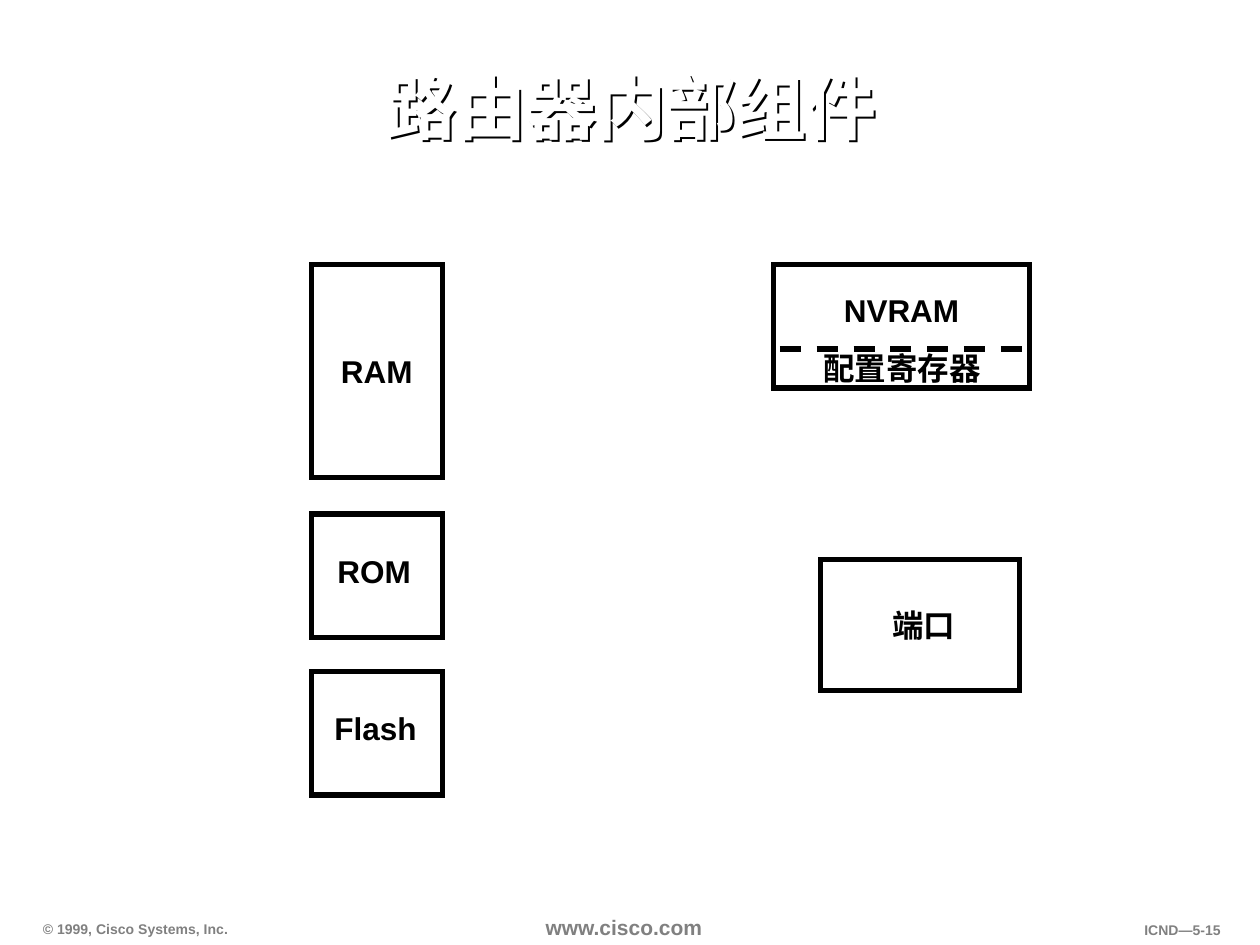
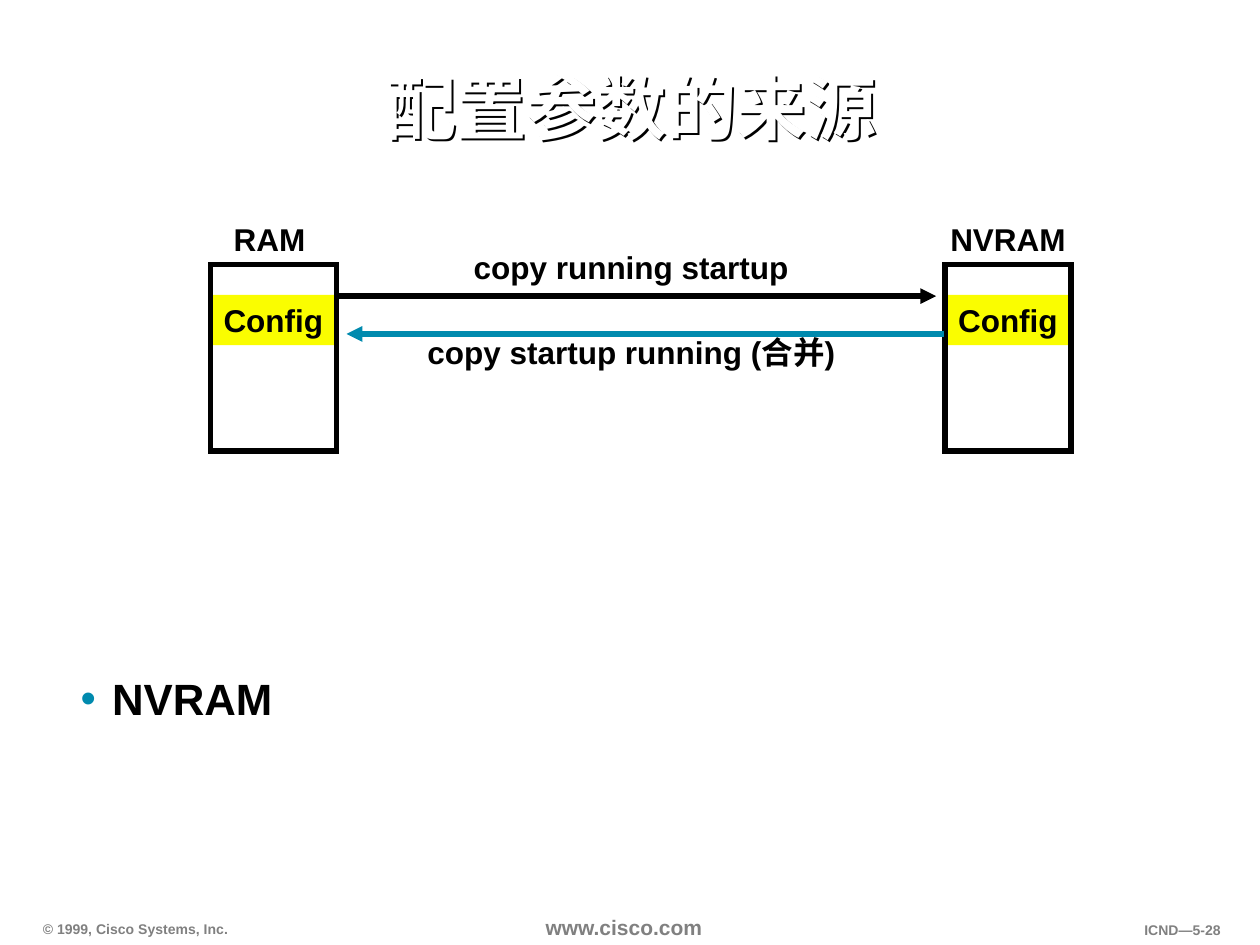
from lxml.etree import SubElement
from pptx import Presentation
from pptx.dml.color import RGBColor
from pptx.enum.dml import MSO_LINE
from pptx.enum.shapes import MSO_CONNECTOR, MSO_SHAPE
from pptx.enum.text import MSO_ANCHOR, PP_ALIGN
from pptx.oxml.ns import qn
from pptx.util import Inches, Pt

W, H = 10, 7.5
FONT = "Arial"
BLACK, WHITE, GREY = "000000", "FFFFFF", "808080"
TEAL, YELLOW = "008AAE", "FAFD00"
ALIGN = {"l": PP_ALIGN.LEFT, "c": PP_ALIGN.CENTER, "r": PP_ALIGN.RIGHT}
ANCHOR = {"t": MSO_ANCHOR.TOP, "m": MSO_ANCHOR.MIDDLE, "b": MSO_ANCHOR.BOTTOM}
ROW = 0.4  # height of a label
TOP = 2.1  # top edge of the upper boxes

# Slide 1: label, its width, left, top, width, height, label shift in x and y
PARTS = [
    ("RAM", 0.77, 2.47, TOP, 1.04, 1.69, 0, 0),
    ("ROM", 0.78, 2.47, 4.08, 1.04, 0.98, -0.02, -0.04),
    ("Flash", 0.85, 2.47, 5.33, 1.04, 0.98, -0.01, -0.04),
    ("NVRAM", 1.11, 6.14, TOP, 2.03, 0.98, 0, -0.13),
    ("端口", 0.7, 6.51, 4.44, 1.58, 1.04, 0.03, 0),
]
REGISTER = ("配置寄存器", 7.16, 2.92, 1.45)
SPLIT = (6.19, 8.21, 2.77)

# Slide 2: label, its centre, its width, left edge of the memory
STORES = [("RAM", 2.14, 0.77, 1.67), ("NVRAM", 8, 1.11, 7.5)]
STORE_W, STORE_H = 1, 1.48
# Command, centre y, width, arrow start, end and y, colour
COPIES = [
    ("copy running startup", 2.12, 2.7, 2.66, 7.43, 2.35, BLACK),
    ("copy startup running (合并)", 2.79, 3.55, 7.49, 2.75, 2.65, TEAL),
]
BULLET = "NVRAM"


def paint(color):
    return RGBColor.from_string(color)


def write(slide, text, at, size=18, color=BLACK, align="c", anchor="m",
          inset=(0.04, 0.04), fill=None, space=None, shade=None):
    """Add bold text in a box and return its paragraph."""
    box = slide.shapes.add_textbox(*map(Inches, at))
    if fill:
        box.fill.solid()
        box.fill.fore_color.rgb = paint(fill)
    if shade:
        cast(box, shade)
    frame = box.text_frame
    frame.word_wrap = True
    frame.vertical_anchor = ANCHOR[anchor]
    frame.margin_left = frame.margin_right = Inches(inset[0])
    frame.margin_top = frame.margin_bottom = Inches(inset[1])
    para = frame.paragraphs[0]
    para.alignment = ALIGN[align]
    para.line_spacing = space
    run = para.add_run()
    run.text = text
    font = run.font
    font.name, font.size, font.bold = FONT, Pt(size), True
    font.color.rgb = paint(color)
    return para


def cast(box, color):
    """Drop a sharp shadow; on an unfilled box it falls from the letters."""
    effects = SubElement(box._element.spPr, qn("a:effectLst"))
    drop = SubElement(effects, qn("a:outerShdw"), blurRad="0",
                      dist=str(Pt(2)), dir="2700000", algn="ctr",
                      rotWithShape="0")
    SubElement(drop, qn("a:srgbClr"), val=color)


def label(slide, text, x, y, width, **style):
    """Write one row of text centred on x, y."""
    return write(slide, text, (x - width / 2, y - ROW / 2, width, ROW), **style)


def frame(slide, *at):
    """Draw an unfilled box with a heavy, square-cornered outline."""
    box = slide.shapes.add_shape(MSO_SHAPE.RECTANGLE, *map(Inches, at))
    box.shadow.inherit = False
    box.fill.background()
    box.line.color.rgb = paint(BLACK)
    box.line.width = Pt(3)
    SubElement(box.line._get_or_add_ln(), qn("a:miter"), lim="800000")


def rule(slide, start, end, y, color=BLACK, dash=False, head=False):
    """Draw a level line, dashed or with an arrowhead at its end."""
    line = slide.shapes.add_connector(
        MSO_CONNECTOR.STRAIGHT, *map(Inches, (start, y, end, y)))
    line.line.color.rgb = paint(color)
    line.line.width = Pt(3)
    if dash:
        line.line.dash_style = MSO_LINE.DASH
    if head:
        SubElement(line.line._get_or_add_ln(), qn("a:tailEnd"), type="triangle")
    SubElement(line._element.spPr, qn("a:effectLst"))


def dot(para):
    """Give the paragraph a hanging bullet."""
    props = para._p.get_or_add_pPr()
    props.set("marL", str(Inches(0.38)))
    props.set("indent", str(Inches(-0.25)))
    tint = SubElement(props, qn("a:buClr"))
    SubElement(tint, qn("a:srgbClr"), val=TEAL)
    SubElement(props, qn("a:buFont"), typeface=FONT)
    SubElement(props, qn("a:buChar"), char="•")


def start(deck, title, page):
    """Add a slide with its title and footers."""
    slide = deck.slides.add_slide(deck.slide_layouts[6])
    small = dict(size=8, color=GREY, inset=(0.09, 0.04))
    write(slide, "© 1999, Cisco Systems, Inc.", (0.25, 7.26, 2, 0.22),
          align="l", anchor="b", **small)
    write(slide, "www.cisco.com", (4.25, 7.22, 1.5, 0.28), size=12,
          color=GREY, align="l", anchor="t", inset=(0.08, 0.04))
    write(slide, f"ICND—5-{page}", (8.58, 7.27, 1.2, 0.22),
          align="r", anchor="t", **small)
    write(slide, title, (0.84, 0.26, 8.34, 1.25), size=40, color=WHITE,
          space=0.9, shade=BLACK)
    return slide


def draw_parts(deck):
    slide = start(deck, "路由器内部组件", 15)
    for text, room, x, y, w, h, dx, dy in PARTS:
        frame(slide, x, y, w, h)
        label(slide, text, x + w / 2 + dx, y + h / 2 + dy, room)
    label(slide, *REGISTER)
    rule(slide, *SPLIT, dash=True)


def draw_copies(deck):
    slide = start(deck, "配置参数的来源", 28)
    for text, mid, room, x in STORES:
        label(slide, "Config", x + STORE_W / 2, 2.54, STORE_W, fill=YELLOW)
        frame(slide, x, TOP, STORE_W, STORE_H)
        label(slide, text, mid, TOP - ROW / 2, room)
    for text, y, room, tail, tip, level, color in COPIES:
        rule(slide, tail, tip, level, color, head=True)
        label(slide, text, W / 2 + 0.01, y, room)
    dot(write(slide, BULLET, (0.42, 5.33, 2.55, 1.62), size=25, align="l",
              anchor="t", inset=(0.09, 0.05), space=0.9))


def main():
    deck = Presentation()
    deck.slide_width, deck.slide_height = Inches(W), Inches(H)
    draw_parts(deck)
    draw_copies(deck)
    deck.save("out.pptx")


if __name__ == "__main__":
    main()
